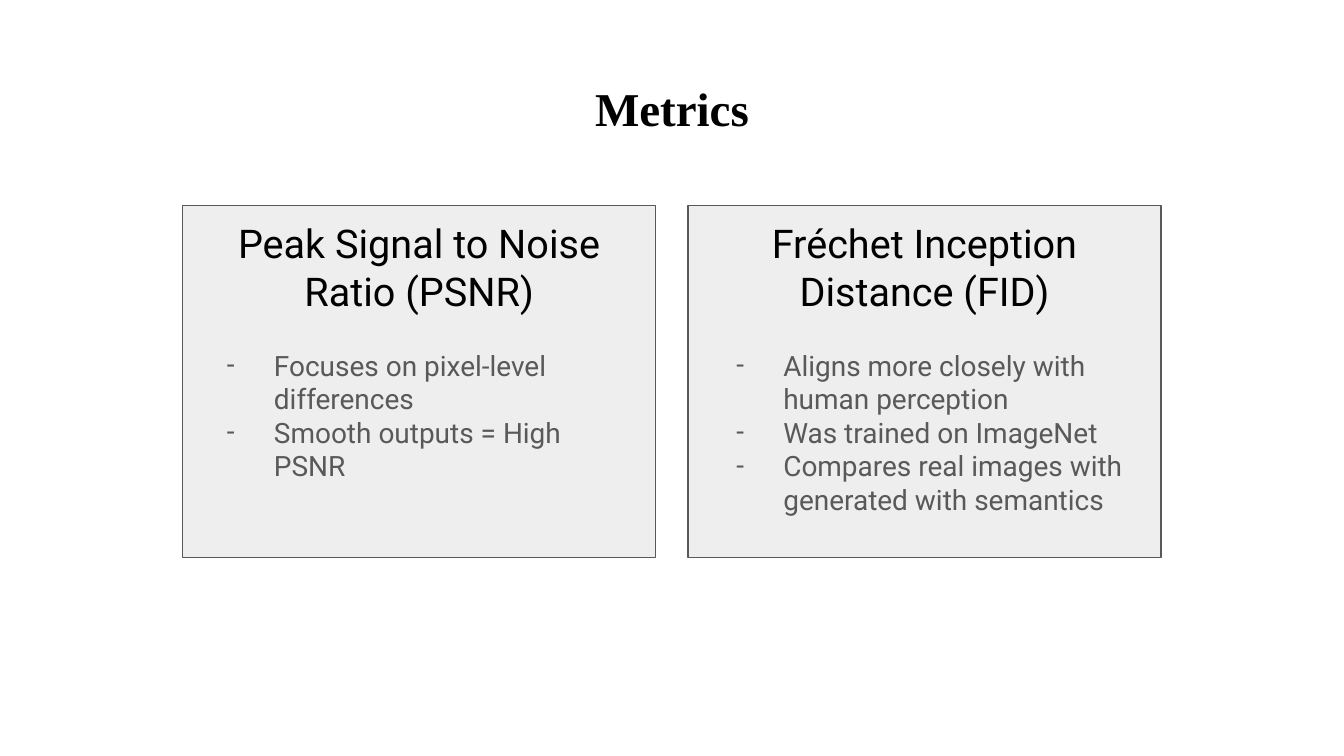
"""Build the Metrics slide comparing PSNR and FID."""
import dataclasses

import lxml.etree
import pptx
import pptx.dml.color
import pptx.enum.shapes
import pptx.enum.text
import pptx.oxml.ns
import pptx.shapes.base
import pptx.slide
import pptx.text.text
import pptx.util

Inches = pptx.util.Inches
Align = pptx.enum.text.PP_ALIGN
Anchor = pptx.enum.text.MSO_ANCHOR


@dataclasses.dataclass(frozen=True)
class Theme:
    ink: str = "000000"
    grey: str = "595959"
    panel: str = "EEEEEE"
    paper: str = "FFFFFF"
    title_font: str = "Times New Roman"
    body_font: str = "Roboto"
    title_size: float = 25.2
    heading_size: float = 21.2
    body_size: float = 15
    line_width: float = 0.75


@dataclasses.dataclass(frozen=True)
class Metric:
    heading: str
    points: tuple[str, ...]
    left: float
    list_left: float
    list_height: float


THEME = Theme()
PANEL_TOP, PANEL_WIDTH, PANEL_HEIGHT = 1.53, 3.52, 2.62
LIST_TOP, LIST_WIDTH = 2.49, 3.29
METRICS = (
    Metric(
        "Fréchet Inception Distance (FID)",
        (
            "Aligns more closely with human perception",
            "Was trained on ImageNet",
            "Compares real images with generated with semantics",
        ),
        5.12, 5.23, 1.46,
    ),
    Metric(
        "Peak Signal to Noise Ratio (PSNR)",
        ("Focuses on pixel-level differences", "Smooth outputs = High PSNR"),
        1.36, 1.44, 1.21,
    ),
)


def color(value: str) -> pptx.dml.color.RGBColor:
    return pptx.dml.color.RGBColor.from_string(value)


def prepare_frame(box: pptx.shapes.base.BaseShape, anchor: Anchor) -> pptx.text.text.TextFrame:
    frame = box.text_frame
    frame.word_wrap = True
    frame.vertical_anchor = anchor
    frame.margin_left = frame.margin_right = Inches(0.1)
    frame.margin_top = frame.margin_bottom = Inches(0.1)
    return frame


def add_span(para: pptx.text.text._Paragraph, text: str, font: str, size: float,
             ink: str, bold: bool = False) -> None:
    span = para.add_run()
    span.text = text
    span.font.name = font
    span.font.size = pptx.util.Pt(size)
    span.font.bold = bold
    span.font.color.rgb = color(ink)


def add_dash(para: pptx.text.text._Paragraph) -> None:
    properties = para._p.get_or_add_pPr()
    properties.set("marL", str(Inches(0.5)))
    properties.set("indent", str(Inches(-0.35)))
    tag = pptx.oxml.ns.qn
    bullet_color = lxml.etree.SubElement(properties, tag("a:buClr"))
    lxml.etree.SubElement(bullet_color, tag("a:srgbClr"), val=THEME.grey)
    lxml.etree.SubElement(properties, tag("a:buFont"), typeface=THEME.body_font)
    lxml.etree.SubElement(properties, tag("a:buChar"), char="-")


def add_title(page: pptx.slide.Slide, text: str) -> None:
    box = page.shapes.add_textbox(Inches(0.34), Inches(0.49), Inches(9.32), Inches(0.63))
    para = prepare_frame(box, Anchor.TOP).paragraphs[0]
    para.alignment = Align.CENTER
    add_span(para, text, THEME.title_font, THEME.title_size, THEME.ink, bold=True)


def add_panel(page: pptx.slide.Slide, metric: Metric) -> None:
    panel = page.shapes.add_shape(
        pptx.enum.shapes.MSO_SHAPE.RECTANGLE, Inches(metric.left), Inches(PANEL_TOP),
        Inches(PANEL_WIDTH), Inches(PANEL_HEIGHT))
    panel.shadow.inherit = False
    panel.fill.solid()
    panel.fill.fore_color.rgb = color(THEME.panel)
    panel.line.color.rgb = color(THEME.grey)
    panel.line.width = pptx.util.Pt(THEME.line_width)
    para = prepare_frame(panel, Anchor.TOP).paragraphs[0]
    para.alignment = Align.CENTER
    add_span(para, metric.heading, THEME.body_font, THEME.heading_size, THEME.ink)


def add_points(page: pptx.slide.Slide, metric: Metric) -> None:
    box = page.shapes.add_textbox(
        Inches(metric.list_left), Inches(LIST_TOP), Inches(LIST_WIDTH), Inches(metric.list_height))
    frame = prepare_frame(box, Anchor.TOP)
    frame.auto_size = pptx.enum.text.MSO_AUTO_SIZE.SHAPE_TO_FIT_TEXT
    for index, point in enumerate(metric.points):
        para = frame.add_paragraph() if index else frame.paragraphs[0]
        add_dash(para)
        add_span(para, point, THEME.body_font, THEME.body_size, THEME.grey)


def main() -> None:
    deck = pptx.Presentation()
    deck.slide_width = Inches(10)
    deck.slide_height = deck.slide_width * 9 // 16
    page = deck.slides.add_slide(deck.slide_layouts[6])
    page.background.fill.solid()
    page.background.fill.fore_color.rgb = color(THEME.paper)
    add_title(page, "Metrics")
    for metric in METRICS:
        add_panel(page, metric)
    for metric in reversed(METRICS):
        add_points(page, metric)
    deck.save("out.pptx")


if __name__ == "__main__":
    main()
